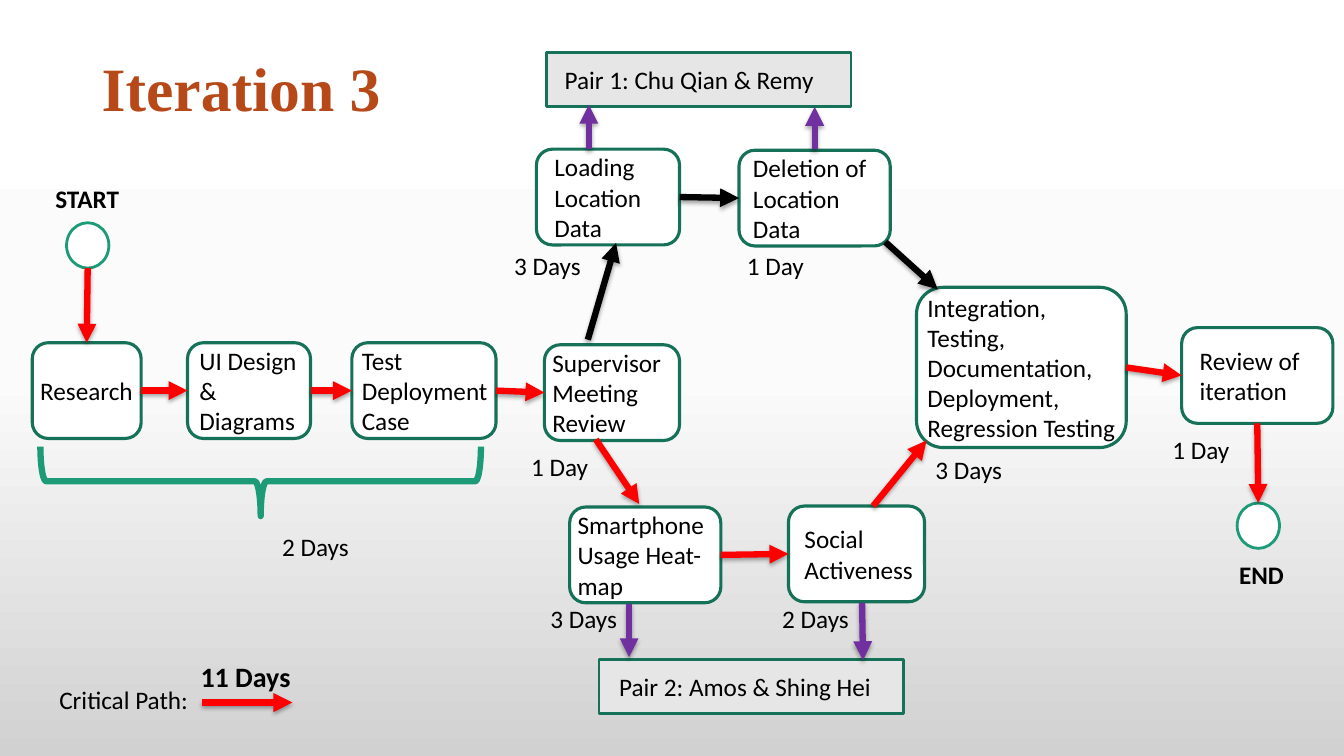
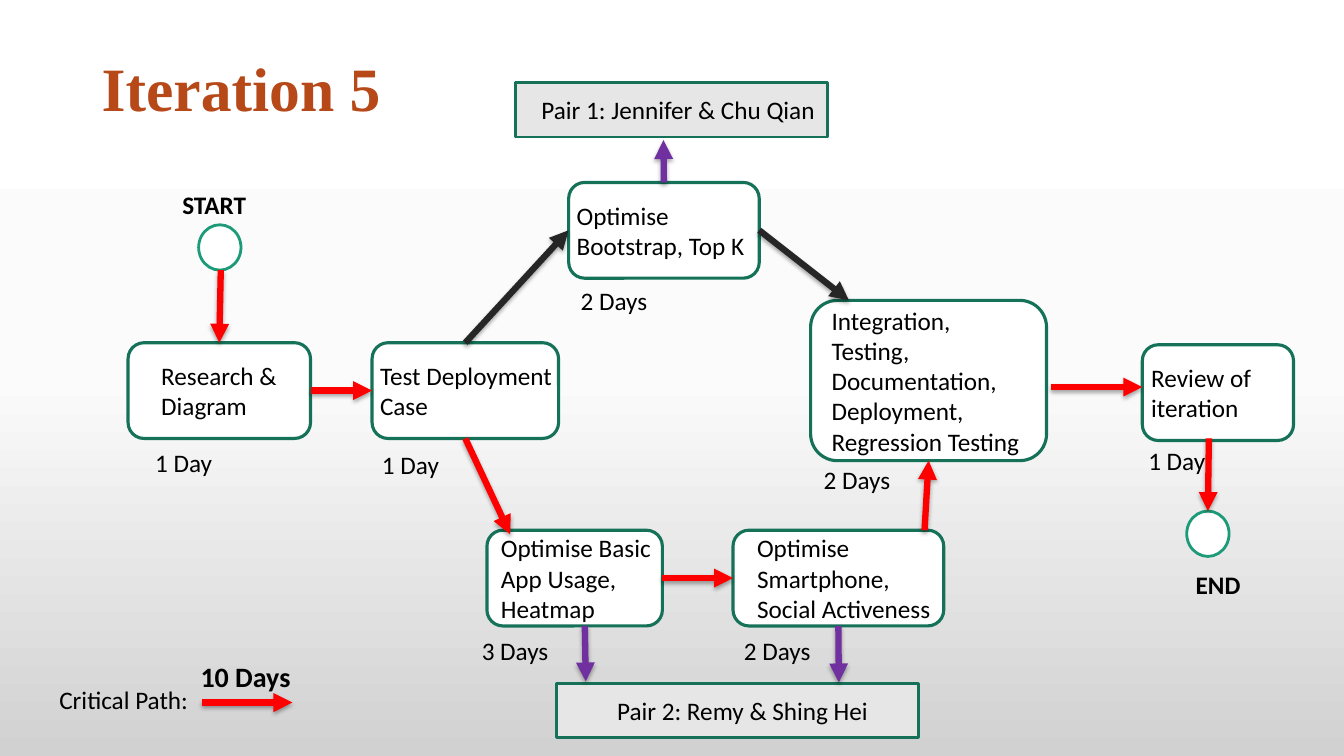
from copy import deepcopy

from lxml import etree
from pptx import Presentation
from pptx import util as u
from pptx.dml.color import RGBColor
from pptx.enum import shapes, text

RED, BLACK, CHARCOAL, PURPLE = "FF0000", "000000", "262626", "7030A0"
DARK_GREEN, GREEN, WHITE, GREY, RUST = "157259", "1D9A78", "FFFFFF", "E7E6E6", "B74919"
BACKGROUND = [(0, WHITE), (0.5, "FBFBFB"), (1, "D1D1D1")]
TOP, LEFT, BOTTOM, RIGHT = range(4)
CIRCLE_WIDTH, CIRCLE_HEIGHT = 0.42, 0.45
ROUND_INSET = 0.05  # how far a rounded corner pushes text in, per inch of height
FINAL_TASKS = "Integration, Testing, Documentation, Deployment, Regression Testing"
NS = "http://schemas.openxmlformats.org/drawingml/2006/main"
SHADOW = (f'<a:effectLst xmlns:a="{NS}"><a:outerShdw blurRad="39370" dist="22860" '
          'dir="5400000" rotWithShape="0"><a:srgbClr val="000000"><a:alpha val="35000"/>'
          '</a:srgbClr></a:outerShdw></a:effectLst>')
OUTLINE = (f'<a:ln xmlns:a="{NS}" w="9525"><a:solidFill><a:srgbClr val="{WHITE}"/>'
           '</a:solidFill></a:ln>')


def rgb(value):
    return RGBColor.from_string(value)


class Planner:
    """Holds the style and the page being drawn."""

    def __init__(self):
        self.deck = Presentation()
        self.deck.slide_width, self.deck.slide_height = u.Inches(13.33), u.Inches(7.5)
        self.page = None
        self.paint_background()

    def paint_background(self):
        master = self.deck.slide_master
        fill = master.background.fill
        fill.gradient()
        fill.gradient_angle = 270
        stops = master.element.find(f".//{{{NS}}}gsLst")
        stops.append(deepcopy(stops[-1]))
        for stop, (position, color) in zip(fill.gradient_stops, BACKGROUND):
            stop.position, stop.color.rgb = position, rgb(color)

    def new_page(self, title, total):
        """Add a page with its title and the critical path legend."""
        self.page = self.deck.slides.add_slide(self.deck.slide_layouts[6])
        para = self.label(title, 0.91, 0.18, 3.65, 1.45, size=44, bold=True,
                          color=RUST, font="Times New Roman",
                          anchor=text.MSO_ANCHOR.MIDDLE)
        para.line_spacing = 0.9
        para.runs[0]._r.get_or_add_rPr().insert(0, etree.fromstring(OUTLINE))
        self.label("Critical Path:", 0.49, 6.74, 1.5)
        self.label(total, 1.89, 6.49, 1.18, size=20, bold=True)
        self.arrow((2, 6.97), (2.9, 6.97))

    def set_text(self, frame, words, size=18, bold=False, color=BLACK, font="Calibri"):
        frame.word_wrap = True
        para = frame.paragraphs[0]
        para.add_run().text = words
        para.alignment = text.PP_ALIGN.LEFT
        para.font.size, para.font.bold = u.Pt(size), bold
        para.font.name, para.font.color.rgb = font, rgb(color)
        return para

    def label(self, words, left, top, width=1.08, height=0.4,
              anchor=text.MSO_ANCHOR.TOP, **style):
        box = self.page.shapes.add_textbox(*map(u.Inches, (left, top, width, height)))
        box.text_frame.vertical_anchor = anchor
        return self.set_text(box.text_frame, words, **style)

    def shape(self, kind, left, top, width, height, fill, line, weight):
        shape = self.page.shapes.add_shape(
            kind, *map(u.Inches, (left, top, width, height)))
        shape.shadow.inherit = False
        if fill:
            shape.fill.solid()
            shape.fill.fore_color.rgb = rgb(fill)
        else:
            shape.fill.background()
        shape.line.color.rgb, shape.line.width = rgb(line), u.Pt(weight)
        return shape

    def fill_in(self, shape, words, indent, right=0):
        frame = shape.text_frame
        frame.vertical_anchor = text.MSO_ANCHOR.MIDDLE
        frame.margin_left, frame.margin_right = u.Inches(indent), u.Inches(right)
        frame.margin_top = frame.margin_bottom = 0
        self.set_text(frame, words)

    def task(self, words, left, top, width, indent=0.08, height=0.95, right=0):
        box = self.shape(shapes.MSO_SHAPE.ROUNDED_RECTANGLE, left, top, width, height,
                         WHITE, DARK_GREEN, 2.25)
        self.fill_in(box, words, indent - ROUND_INSET * height, right)
        return box

    def pair(self, words, left, top, width, indent):
        box = self.shape(shapes.MSO_SHAPE.RECTANGLE, left, top, width, 0.54,
                         GREY, DARK_GREEN, 2)
        self.fill_in(box, words, indent)

    def circle(self, left, top):
        return self.shape(shapes.MSO_SHAPE.OVAL, left, top, CIRCLE_WIDTH,
                          CIRCLE_HEIGHT, WHITE, GREEN, 2)

    def brace(self, left, top, width, height):
        brace = self.shape(shapes.MSO_SHAPE.RIGHT_BRACE, left, top, width, height,
                           None, GREEN, 4.5)
        brace.rotation = 90

    def arrow(self, start, end, color=RED):
        """Each end is a point in inches or a (shape, side) pair to attach to."""
        line = self.page.shapes.add_connector(shapes.MSO_CONNECTOR.STRAIGHT, 0, 0, 0, 0)
        if isinstance(start[0], (int, float)):
            line.begin_x, line.begin_y = map(u.Inches, start)
        else:
            line.begin_connect(*start)
        if isinstance(end[0], (int, float)):
            line.end_x, line.end_y = map(u.Inches, end)
        else:
            line.end_connect(*end)
        line.line.color.rgb, line.line.width = rgb(color), u.Pt(4.5)
        etree.SubElement(line.line._get_or_add_ln(), f"{{{NS}}}tailEnd", type="triangle")
        line._element.spPr.append(etree.fromstring(SHADOW))

    def labels(self, entries):
        for words, left, top in entries:
            self.label(words, left, top, bold=words in ("START", "END"))

    def arrows(self, entries):
        for entry in entries:
            self.arrow(*entry)


def iteration_three(plan):
    plan.new_page("Iteration 3", "11 Days")

    # Pairs and tasks
    plan.pair("Pair 1: Chu Qian & Remy", 5.42, 0.52, 3.02, 0.18)
    plan.pair("Pair 2: Amos & Shing Hei", 5.94, 6.54, 3.02, 0.2)
    research = plan.task("Research", 0.32, 3.4, 1.08)
    design = plan.task("UI Design & Diagrams", 1.86, 3.4, 1.22, 0.12)
    deployment = plan.task("Test Deployment Case", 3.49, 3.4, 1.43, 0.1)
    meeting = plan.task("Supervisor Meeting Review", 5.4, 3.42, 1.34)
    loading = plan.task("Loading Location Data", 5.32, 1.48, 1.42, 0.18)
    deletion = plan.task("Deletion of Location Data", 7.33, 1.49, 1.5, 0.14)
    heatmap = plan.task("Smartphone Usage Heat-map", 5.65, 5.03, 1.5)
    social = plan.task("Social Activeness", 7.82, 5.02, 1.35, 0.16)
    final = plan.task(FINAL_TASKS, 9.09, 2.85, 2.08, 0.11, height=1.59)
    review = plan.task("Review of iteration", 11.72, 3.25, 1.5, 0.18)

    # Start, end and durations
    plan.circle(0.66, 2.21)
    end = plan.circle(12.27, 4.99)
    plan.brace(2.24, 2.59, 0.69, 4.37)
    plan.labels([
        ("START", 0.45, 1.77), ("END", 12.19, 5.5), ("2 Days", 2.7, 5.22),
        ("1 Day", 5.17, 4.43), ("3 Days", 5, 2.43), ("1 Day", 7.31, 2.43),
        ("3 Days", 5.36, 5.94), ("2 Days", 7.66, 5.94), ("3 Days", 9.18, 4.46),
        ("1 Day", 11.53, 4.26),
    ])

    # Arrows
    plan.arrows([
        ((0.87, 2.66), (research, TOP)),
        ((research, RIGHT), (design, LEFT)),
        ((design, RIGHT), (deployment, LEFT)),
        ((deployment, RIGHT), (meeting, LEFT)),
        ((5.91, 4.36), (6.34, 5)),
        ((heatmap, RIGHT), (social, LEFT)),
        ((8.66, 5.02), (9.19, 4.37)),
        ((final, RIGHT), (review, LEFT)),
        ((review, BOTTOM), (end, TOP)),
        ((5.83, 3.37), (6.11, 2.41), BLACK),
        ((loading, RIGHT), (deletion, LEFT), BLACK),
        ((8.78, 2.4), (9.3, 2.87), BLACK),
        ((5.84, 1.48), (5.84, 1.04), PURPLE),
        ((8.08, 1.48), (8.08, 1.06), PURPLE),
        ((6.24, 5.99), (6.24, 6.52), PURPLE),
        ((8.55, 5.98), (8.56, 6.55), PURPLE),
    ])


def iteration_five(plan):
    plan.new_page("Iteration 5", "10 Days")

    # Pairs and tasks
    plan.pair("Pair 1: Jennifer & Chu Qian", 5.11, 0.82, 3.1, 0.26)
    plan.pair("Pair 2: Remy & Shing Hei", 5.52, 6.78, 3.59, 0.6)
    research = plan.task("Research & Diagram", 1.27, 3.4, 1.81, 0.33)
    deployment = plan.task("Test Deployment Case", 3.69, 3.4, 1.85)
    bootstrap = plan.task("Optimise Bootstrap, Top K", 5.64, 1.81, 1.89)
    heatmap = plan.task("Optimise Basic App Usage, Heatmap", 4.83, 5.26, 1.74, 0.14)
    social = plan.task("Optimise Smartphone, Social Activeness", 7.27, 5.26, 2.09, 0.24)
    final = plan.task(FINAL_TASKS, 8.04, 2.98, 2.34, 0.21, height=1.59, right=0.12)
    plan.task("Review of iteration", 11.33, 3.42, 1.5, 0.09)

    # Start, end and durations
    plan.circle(1.97, 2.23)
    end = plan.circle(11.77, 5.07)
    plan.labels([
        ("START", 1.71, 1.83), ("END", 11.76, 5.6), ("1 Day", 1.44, 4.39),
        ("1 Day", 3.69, 4.41), ("2 Days", 5.66, 2.78), ("3 Days", 4.68, 6.25),
        ("2 Days", 7.28, 6.25), ("2 Days", 8.07, 4.56), ("1 Day", 11.29, 4.37),
    ])

    # Arrows
    plan.arrows([
        ((2.19, 2.68), (research, TOP)),
        ((research, RIGHT), (deployment, LEFT)),
        ((deployment, BOTTOM), (5.06, 5.3)),
        ((heatmap, RIGHT), (social, LEFT)),
        ((9.17, 5.26), (final, BOTTOM)),
        ((10.42, 3.84), (11.33, 3.84)),
        ((11.99, 4.35), (end, TOP)),
        ((deployment, TOP), (bootstrap, LEFT), CHARCOAL),
        ((bootstrap, RIGHT), (8.42, 2.98), CHARCOAL),
        ((bootstrap, TOP), (6.58, 1.39), PURPLE),
        ((5.8, 6.21), (5.81, 6.76), PURPLE),
        ((social, BOTTOM), (8.32, 6.77), PURPLE),
    ])


def main():
    plan = Planner()
    iteration_three(plan)
    iteration_five(plan)
    plan.deck.save("out.pptx")


if __name__ == "__main__":
    main()
